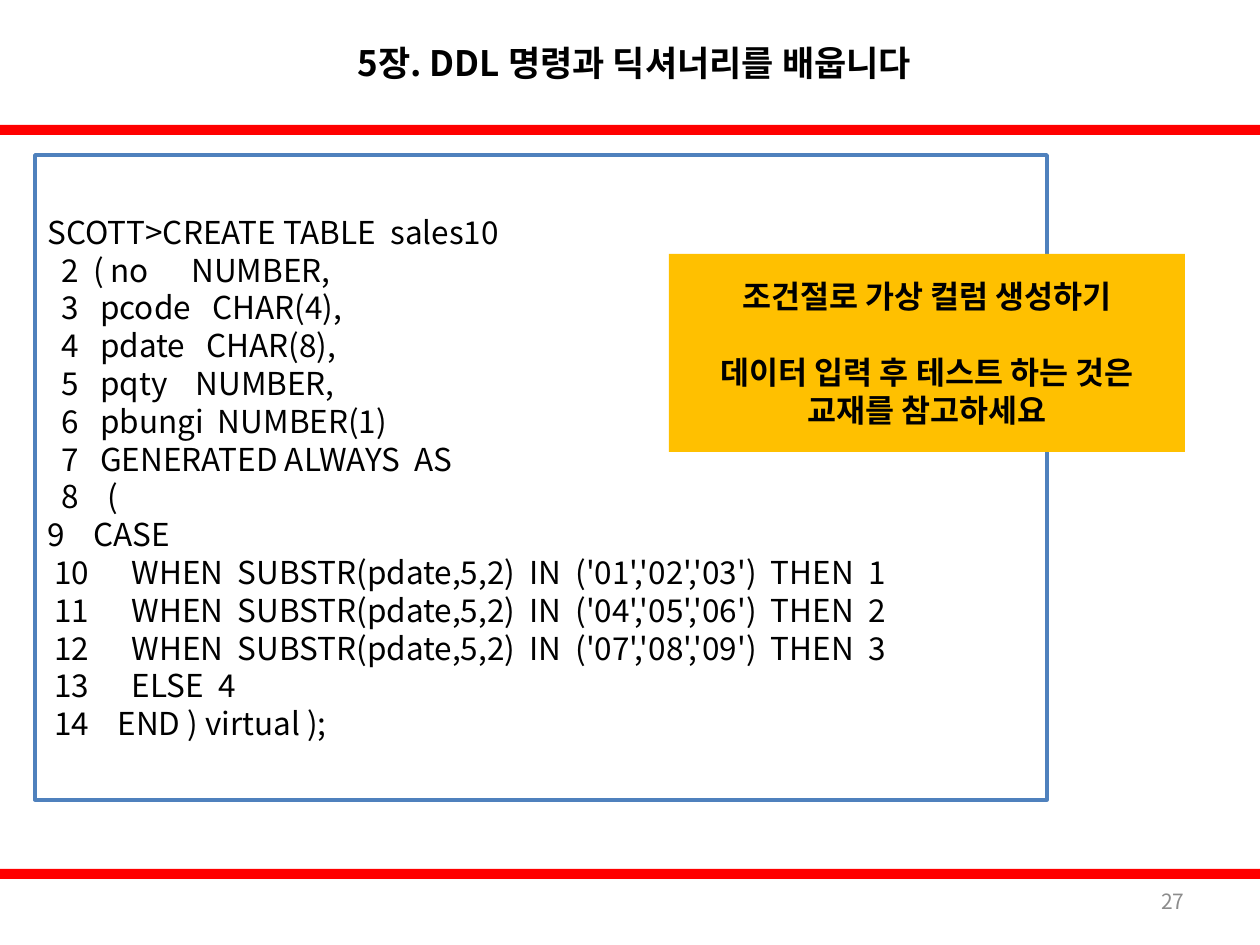
import pptx
import pptx.dml.color
import pptx.enum.shapes
import pptx.enum.text
import pptx.oxml
import pptx.oxml.ns
import pptx.util

RGBColor = pptx.dml.color.RGBColor
Align = pptx.enum.text.PP_ALIGN

BLACK = RGBColor(0x00, 0x00, 0x00)
RED = RGBColor(0xFF, 0x00, 0x00)
BLUE = RGBColor(0x4F, 0x81, 0xBD)
AMBER = RGBColor(0xFF, 0xC0, 0x00)
GRAY = RGBColor(0x8C, 0x8C, 0x8C)

CODE = """SCOTT>CREATE TABLE  sales10
  2  ( no      NUMBER,
  3   pcode   CHAR(4),
  4   pdate   CHAR(8),
  5   pqty    NUMBER,
  6   pbungi  NUMBER(1)
  7   GENERATED ALWAYS  AS
  8    (
9    CASE
 10      WHEN  SUBSTR(pdate,5,2)  IN  ('01','02','03')  THEN  1
 11      WHEN  SUBSTR(pdate,5,2)  IN  ('04','05','06')  THEN  2
 12      WHEN  SUBSTR(pdate,5,2)  IN  ('07','08','09')  THEN  3
 13      ELSE  4
 14    END ) virtual );"""

CALLOUT = ["조건절로 가상 컬럼 생성하기", "데이터 입력 후 테스트 하는 것은", "교재를 참고하세요"]


class SlideBuilder:
    """Holds the slide style and draws each kind of element."""

    FONT = "Noto Sans CJK KR"
    SCALE = 914400 / 126
    LINE_PITCH = 21.6

    def __init__(self, slide):
        self.slide = slide

    def px(self, *lengths):
        return [pptx.util.Emu(round(length * self.SCALE)) for length in lengths]

    def rectangle(self, left, top, width, height, fill=None, line=None):
        kind = pptx.enum.shapes.MSO_SHAPE.RECTANGLE
        box = self.slide.shapes.add_shape(kind, *self.px(left, top, width, height))
        box.shadow.inherit = False
        if fill is None:
            box.fill.background()
        else:
            box.fill.solid()
            box.fill.fore_color.rgb = fill
        if line is None:
            box.line.fill.background()
        else:
            box.line.color.rgb = line
            box.line.width = pptx.util.Pt(2)
        return box

    def label(self, left, top, width, height, text, **style):
        box = self.slide.shapes.add_textbox(*self.px(left, top, width, height))
        self.add_lines(box, [text], **style)

    def add_lines(self, box, lines, size=18, color=BLACK, bold=False,
                  align=Align.LEFT, pitch=None, gap_before=()):
        frame = box.text_frame
        frame.word_wrap = True
        frame.vertical_anchor = pptx.enum.text.MSO_ANCHOR.MIDDLE
        for index, line in enumerate(lines):
            para = frame.add_paragraph() if index else frame.paragraphs[0]
            para.alignment = align
            if pitch:
                para.line_spacing = pptx.util.Pt(pitch)
            if index in gap_before:
                para.space_before = pptx.util.Pt(self.LINE_PITCH)
            span = para.add_run()
            span.text = line
            span.font.name = self.FONT
            span.font.size = pptx.util.Pt(size)
            span.font.bold = bold
            span.font.color.rgb = color
            east_asian = pptx.oxml.parse_xml(
                f'<a:ea {pptx.oxml.ns.nsdecls("a")} typeface="{self.FONT}"/>')
            span.font._element.append(east_asian)


def main():
    deck = pptx.Presentation()
    deck.slide_width = pptx.util.Inches(10)
    deck.slide_height = pptx.util.Inches(7.5)
    page = SlideBuilder(deck.slides.add_slide(deck.slide_layouts[6]))

    for top in (125, 869):
        page.rectangle(0, top, 1260, 10, fill=RED)
    page.label(213, 0, 843, 125, "5장. DDL 명령과 딕셔너리를 배웁니다",
               size=20, bold=True, align=Align.CENTER)
    page.label(903, 876, 294, 50, "27", size=12, color=GRAY, align=Align.RIGHT)

    code_box = page.rectangle(35, 155, 1012, 645, line=BLUE)
    page.add_lines(code_box, CODE.splitlines(), pitch=page.LINE_PITCH)

    callout = page.rectangle(669, 254, 516, 198, fill=AMBER)
    page.add_lines(callout, CALLOUT, bold=True, align=Align.CENTER,
                   pitch=page.LINE_PITCH, gap_before=(1,))

    deck.save("out.pptx")


if __name__ == "__main__":
    main()
